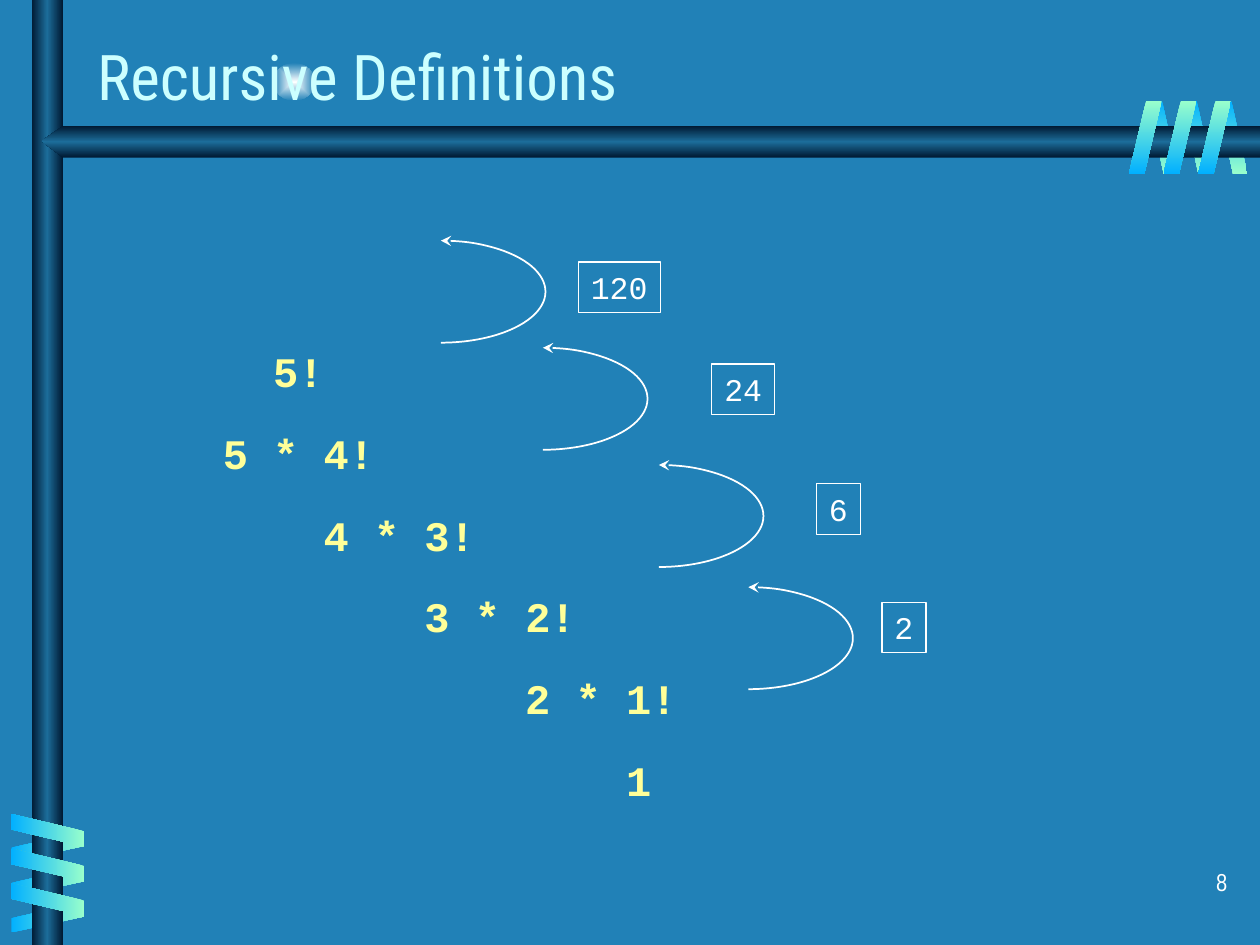
"""Build a slide that traces the recursive evaluation of 5!."""
from lxml import etree
from pptx import Presentation
from pptx.dml.color import RGBColor
from pptx.enum.shapes import MSO_SHAPE
from pptx.enum.text import MSO_ANCHOR, PP_ALIGN
from pptx.oxml import parse_xml
from pptx.oxml.ns import nsdecls, qn
from pptx.util import Inches, Pt

ARC, OVAL = MSO_SHAPE.ARC, MSO_SHAPE.OVAL
BOX, SLANT = MSO_SHAPE.RECTANGLE, MSO_SHAPE.PARALLELOGRAM
LEFT, RIGHT = PP_ALIGN.LEFT, PP_ALIGN.RIGHT
TOP, MIDDLE = MSO_ANCHOR.TOP, MSO_ANCHOR.MIDDLE
HEAD, BODY, SMALL = "Roboto Condensed", "Courier New", "Arial Narrow"
COLORS = {
    "back": "2181B7", "title": "CCFFFF", "code": "FFFF99", "white": "FFFFFF",
    "dark": "001932", "steel": "1C6D9A", "mint": "99FFCC", "sky": "01B0FF",
    "glow": "FEFFFF",
}
BAR = ("dark", "steel", "dark")
CHAR, STEP = 0.2, 4
CALLS = ["5 * 4!", "4 * 3!", "3 * 2!", "2 * 1!", "1"]
RESULTS = [
    ("2", 5.11, 4.66, 7, 4.78),
    ("6", 4.4, 3.69, 6.48, 3.84),
    ("24", 3.48, 2.76, 5.65, 2.89),
    ("120", 2.67, 1.91, 4.59, 2.08),
]


class Deck:
    """Hold the style and the current slide."""

    def __init__(self):
        self.show = Presentation()
        self.show.slide_width, self.show.slide_height = Inches(10), Inches(7.5)
        self.slide = self.show.slides.add_slide(self.show.slide_layouts[5])
        self.shapes = self.slide.shapes
        fill = self.slide.background.fill
        fill.solid()
        fill.fore_color.rgb = self.color("back")

    def color(self, name):
        return RGBColor.from_string(COLORS[name])

    def shade(self, shape, names, angle=None):
        shape.shadow.inherit = False
        shape.line.fill.background()
        shape.fill.background()
        last = len(names) - 1
        stops = "".join(
            f'<a:gs pos="{i * 100000 // last}"><a:srgbClr val="{COLORS[n]}"/></a:gs>'
            for i, n in enumerate(names))
        if angle is None:
            way = ('<a:path path="rect"><a:fillToRect l="50000" t="50000" '
                   'r="50000" b="50000"/></a:path>')
        else:
            way = f'<a:lin ang="{angle * 60000}" scaled="0"/>'
        grad = parse_xml(f'<a:gradFill {nsdecls("a")} rotWithShape="0">'
                         f'<a:gsLst>{stops}</a:gsLst>{way}</a:gradFill>')
        props = shape.element.spPr
        props.replace(props.find(qn("a:noFill")), grad)

    def shape(self, kind, x, y, w, h):
        return self.shapes.add_shape(kind, Inches(x), Inches(y), Inches(w), Inches(h))

    def block(self, kind, x, y, w, h, names, angle=None):
        self.shade(self.shape(kind, x, y, w, h), names, angle)

    def coil(self, x, y, w, turn, names, angle, flip=False):
        shape = self.shape(SLANT, x, y, w, 0.58)
        shape.adjustments[0] = 0.53
        shape.rotation = turn
        if flip:
            shape.element.spPr.get_or_add_xfrm().set("flipH", "1")
        self.shade(shape, names, angle)

    def beam(self, points, names):
        spots = [(Inches(x), Inches(y)) for x, y in points]
        form = self.shapes.build_freeform(*spots[0])
        form.add_line_segments(spots[1:], close=True)
        self.shade(form.convert_to_shape(), names, 90)

    def put(self, para, text, font, size, color, bold=False, align=LEFT):
        para.alignment = align
        run = para.add_run()
        run.text = text
        run.font.name, run.font.size, run.font.bold = font, Pt(size), bold
        run.font.color.rgb = self.color(color)

    def title(self, text, x, y, w, h):
        title = self.shapes.title
        title.element.getparent().append(title.element)
        title.left, title.top = Inches(x), Inches(y)
        title.width, title.height = Inches(w), Inches(h)
        title.text_frame.vertical_anchor = MIDDLE
        self.put(title.text_frame.paragraphs[0], text, HEAD, 36, "title")

    def frame(self, x, y, w, h):
        frame = self.shapes.add_textbox(
            Inches(x), Inches(y), Inches(w), Inches(h)).text_frame
        frame.word_wrap = True
        return frame

    def stairs(self, rows, x, y, w, h):
        frame = self.frame(x, y, w, h)
        frame.margin_top = Inches(1.35)
        for i, (text, chars) in enumerate(rows):
            para = frame.add_paragraph() if i else frame.paragraphs[0]
            para.space_before = Pt(18 if i else 0)
            self.put(para, text, BODY, 24, "code", True)
            para._p.get_or_add_pPr().set("marL", str(Inches(chars * CHAR)))

    def outline(self, shape, width):
        shape.shadow.inherit = False
        shape.fill.background()
        shape.line.color.rgb = self.color("white")
        shape.line.width = Pt(width)

    def arc(self, x, y):
        arc = self.shape(ARC, x, y, 1.66, 0.81)
        arc.adjustments[0], arc.adjustments[1] = 162, 54
        self.outline(arc, 1)
        line = arc.element.spPr.find(qn("a:ln"))
        etree.SubElement(line, qn("a:headEnd"), type="stealth")

    def value(self, text, x, y):
        box = self.shape(BOX, x, y, 0.2 + 0.15 * len(text), 0.4)
        self.outline(box, 0.75)
        frame = box.text_frame
        frame.word_wrap = False
        frame.vertical_anchor = TOP
        self.put(frame.paragraphs[0], text, BODY, 18, "white")

    def number(self, text, x, y, w, h):
        para = self.frame(x, y, w, h).paragraphs[0]
        para.space_before = Pt(8.8)
        self.put(para, text, SMALL, 14, "white", align=RIGHT)


def main():
    deck = Deck()
    rise, fall = ("sky", "mint"), ("mint", "sky")
    deck.block(OVAL, 2.17, 0.5, 0.33, 0.3, ("glow", "back"))
    for i in range(3):
        deck.coil(9.66 - 0.275 * i, 0.8, 0.24, 180, rise, 90, True)
    for i in range(3):
        deck.coil(0.26, 6.43 + 0.28 * i, 0.24, 90, rise, 180, True)
    deck.block(BOX, 0.25, 0, 0.25, 7.5, BAR, 180)
    deck.beam([(10, 1), (0.5, 1), (0.33, 1.12), (0.5, 1.25), (10, 1.25)], BAR)
    for i in range(3):
        deck.coil(0.25, 6.3 + 0.275 * i, 0.26, 270, fall, 180)
    for i in range(3):
        deck.coil(9.51 - 0.275 * i, 0.8, 0.26, 0, fall, 90)
    deck.title("Recursive Definitions", 0.67, 0.22, 8.3, 0.75)
    rows = [("5!", 7)] + [(t, 5 + STEP * i) for i, t in enumerate(CALLS)]
    deck.stairs(rows, 0.67, 1.39, 9.08, 5.36)
    for text, left, top, x, y in RESULTS:
        deck.arc(left, top)
        deck.value(text, x, y)
    deck.number("8", 7.76, 6.83, 2.08, 0.5)
    deck.show.save("out.pptx")


if __name__ == "__main__":
    main()
